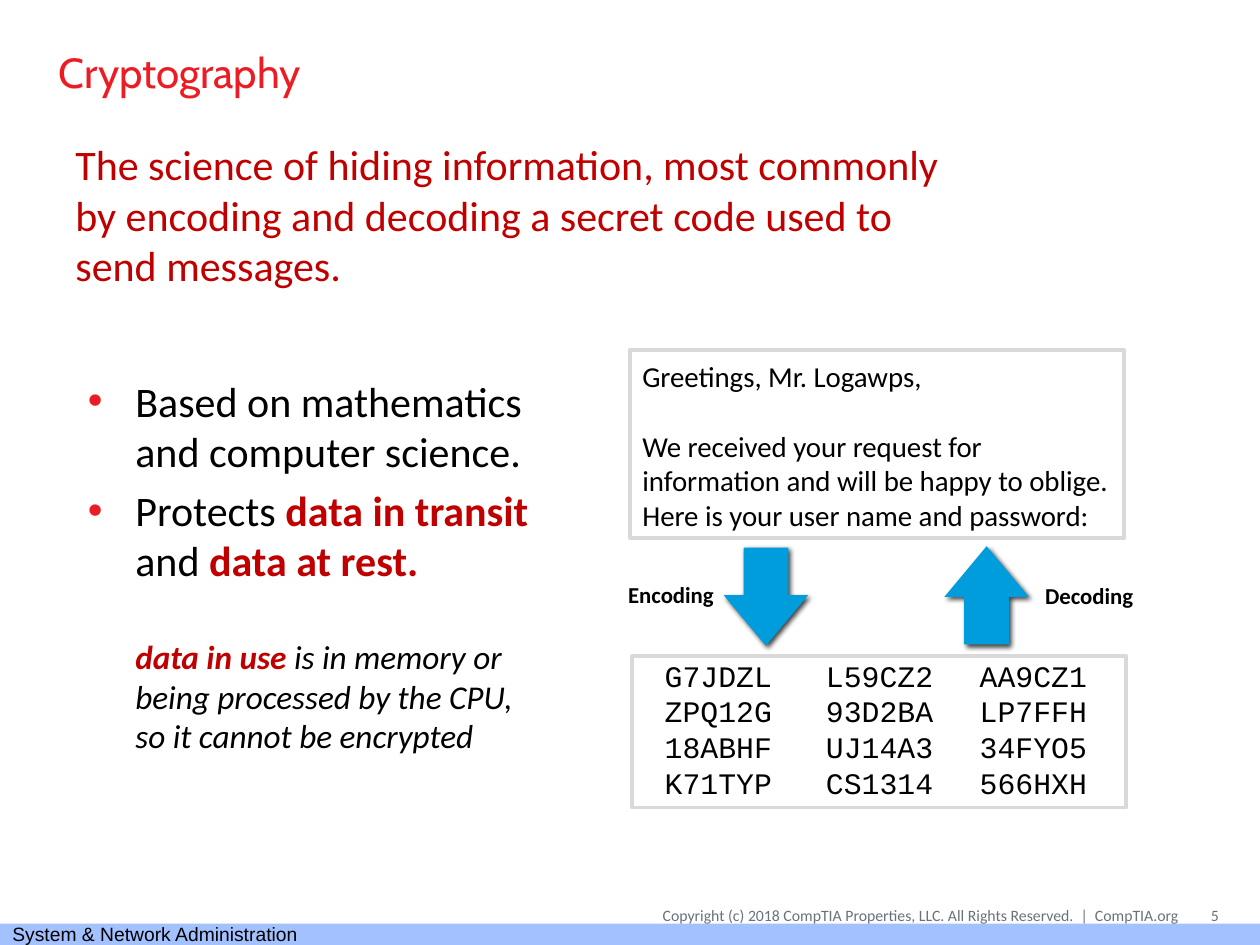
from lxml import etree
from pptx import Presentation
from pptx.dml.color import RGBColor
from pptx.enum.shapes import MSO_SHAPE
from pptx.enum.text import MSO_ANCHOR, PP_ALIGN
from pptx.oxml.ns import qn
from pptx.util import Cm, Pt

RECT, ARROW = MSO_SHAPE.RECTANGLE, MSO_SHAPE.RIGHT_ARROW
TOP, MID = MSO_ANCHOR.TOP, MSO_ANCHOR.MIDDLE
LEFT, RIGHT, CENTER = PP_ALIGN.LEFT, PP_ALIGN.RIGHT, PP_ALIGN.CENTER
INK = {"black": "000000", "red": "C00000", "title": "ED1C24", "gray": "69727B",
       "frame": "D9D9D9", "blue": "009DDC", "bar": "A2C1FE"}


def color(name):
    return RGBColor.from_string(INK[name])


def node(parent, tag, **attrs):
    return etree.SubElement(parent, qn(tag), {k: str(v) for k, v in attrs.items()})


class Deck:
    """Holds the style and the current slide, with a method per kind of element."""

    def __init__(self, font="Calibri"):
        self.prs = Presentation()
        self.prs.slide_width, self.prs.slide_height = Cm(25.4), Cm(19.05)
        self.slide = self.prs.slides.add_slide(self.prs.slide_layouts[6])
        self.font = font

    def style(self, run, size, ink, bold=False, italic=False, font=None):
        run.font.name = font or self.font
        run.font.size = Pt(size)
        run.font.bold, run.font.italic = bold, italic
        run.font.color.rgb = color(ink)

    def text(self, box, lines, size, ink="black", align=LEFT, anchor=TOP,
             inset=(0.25, 0.25), **look):
        shape = self.slide.shapes.add_textbox(*map(Cm, box))
        frame = shape.text_frame
        frame.word_wrap, frame.vertical_anchor = True, anchor
        frame.margin_left, frame.margin_right = map(Cm, inset)
        frame.text = "\n".join(lines)
        for para in frame.paragraphs:
            para.alignment = align
            for run in para.runs:
                self.style(run, size, ink, **look)
        return frame

    def rich(self, frame, parts, size, gap=0, hang=0.0, italic=False):
        para = frame.paragraphs[0]
        if para.runs:
            para = frame.add_paragraph()
        if gap:
            para.space_before = Pt(gap)
        props = para._p.get_or_add_pPr()
        props.set("marL", str(Cm(0.96)))
        props.set("indent", str(Cm(-hang)))
        if hang:
            node(node(props, "a:buClr"), "a:srgbClr", val=INK["title"])
            node(props, "a:buFont", typeface="Arial")
            node(props, "a:buChar", char="•")
        for words, strong in parts:
            run = para.add_run()
            run.text = words
            self.style(run, size, "red" if strong else "black", strong, italic)

    def tabs(self, frame, stops):
        for para in frame.paragraphs:
            row = node(para._p.get_or_add_pPr(), "a:tabLst")
            for stop in stops:
                node(row, "a:tab", pos=Cm(stop), algn="l")

    def shape(self, kind, box, fill=None, line=None):
        shape = self.slide.shapes.add_shape(kind, *map(Cm, box))
        shape.shadow.inherit = False
        if fill:
            shape.fill.solid()
            shape.fill.fore_color.rgb = color(fill)
        else:
            shape.fill.background()
        if line:
            shape.line.color.rgb = color(line)
            shape.line.width = Pt(2.25)
        else:
            shape.line.fill.background()
        return shape

    def bar(self, box, words):
        frame = self.shape(RECT, box, "bar").text_frame
        frame.word_wrap, frame.vertical_anchor = False, MID
        frame.text = words
        frame.paragraphs[0].alignment = LEFT
        self.style(frame.paragraphs[0].runs[0], 11, "black", font="Arial")

    def arrow(self, left, top, turn):
        shape = self.shape(ARROW, (left, top, 1.98, 1.7), "blue")
        shape.rotation = turn
        shape.adjustments[0], shape.adjustments[1] = 0.53, 0.6
        glow = node(shape._element.spPr.find(qn("a:effectLst")), "a:outerShdw",
                    blurRad=Pt(3), dist=Pt(2), dir=45 * 60000, algn="ctr", rotWithShape=0)
        node(node(glow, "a:srgbClr", val=INK["black"]), "a:alpha", val=75000)


def main():
    deck = Deck()
    deck.bar((0, 18.62, 25.4, 0.43), "System & Network Administration")
    deck.text((9.86, 18.08, 13.89, 0.76),
              ["Copyright (c) 2018 CompTIA Properties, LLC. All Rights Reserved.\u00a0 |\u00a0 CompTIA.org"
               .replace("\u00a0 ", "  ")],
              9, "gray", RIGHT, MID, (0, 0))
    deck.text((23.83, 18.08, 0.74, 0.76), ["5"], 9, "gray", RIGHT, MID, (0.25, 0))
    deck.text((0.94, 0.28, 23.5, 2.34), ["Cryptography"], 24, "title", anchor=MID, font="Cabin")
    deck.text((1.27, 2.67, 18.42, 3.25),
              ["The science of hiding information, most commonly by encoding and "
               "decoding a secret code used to send messages."], 24, "red")

    body = deck.text((1.52, 7.44, 9.78, 8.43), [], 24)
    deck.rich(body, [("Based on mathematics and computer science.", False)], 24, hang=0.96)
    deck.rich(body, [("Protects ", False), ("data in transit ", True),
                     ("and ", False), ("data at rest.", True)], 24, gap=4.8, hang=0.96)
    deck.rich(body, [("data in use ", True),
                     ("is in memory or being processed by the CPU, so it cannot be encrypted",
                      False)], 19, gap=29, italic=True)

    deck.shape(RECT, (12.7, 7.06, 9.96, 3.78), line="frame")
    deck.shape(RECT, (12.75, 13.23, 9.96, 3.05), line="frame")
    note = deck.text((12.7, 7.11, 9.96, 3.78),
                     ["Greetings, Mr. Logawps,",
                      "We received your request for information and will be happy to oblige. "
                      "Here is your user name and password:"], 16.5)
    note.paragraphs[1].space_before = Pt(20)
    codes = [("G7JDZL", "L59CZ2", "AA9CZ1"), ("ZPQ12G", "93D2BA", "LP7FFH"),
             ("18ABHF", "UJ14A3", "34FYO5"), ("K71TYP", "CS1314", "566HXH")]
    cipher = deck.text((12.7, 13.13, 9.96, 3.18), ["\t".join(row) for row in codes], 17,
                       inset=(0.7, 0.25), font="Courier New")
    deck.tabs(cipher, (3.25, 6.35))

    for left, top, turn in ((14.45, 11.18, 90), (18.9, 11.15, 270)):
        deck.arrow(left, top, turn)
    for left, top, word in ((12.27, 11.58, "Encoding"), (20.7, 11.61, "Decoding")):
        deck.text((left, top, 2.51, 0.81), [word], 13, align=CENTER, bold=True)
    deck.prs.save("out.pptx")


if __name__ == "__main__":
    main()
